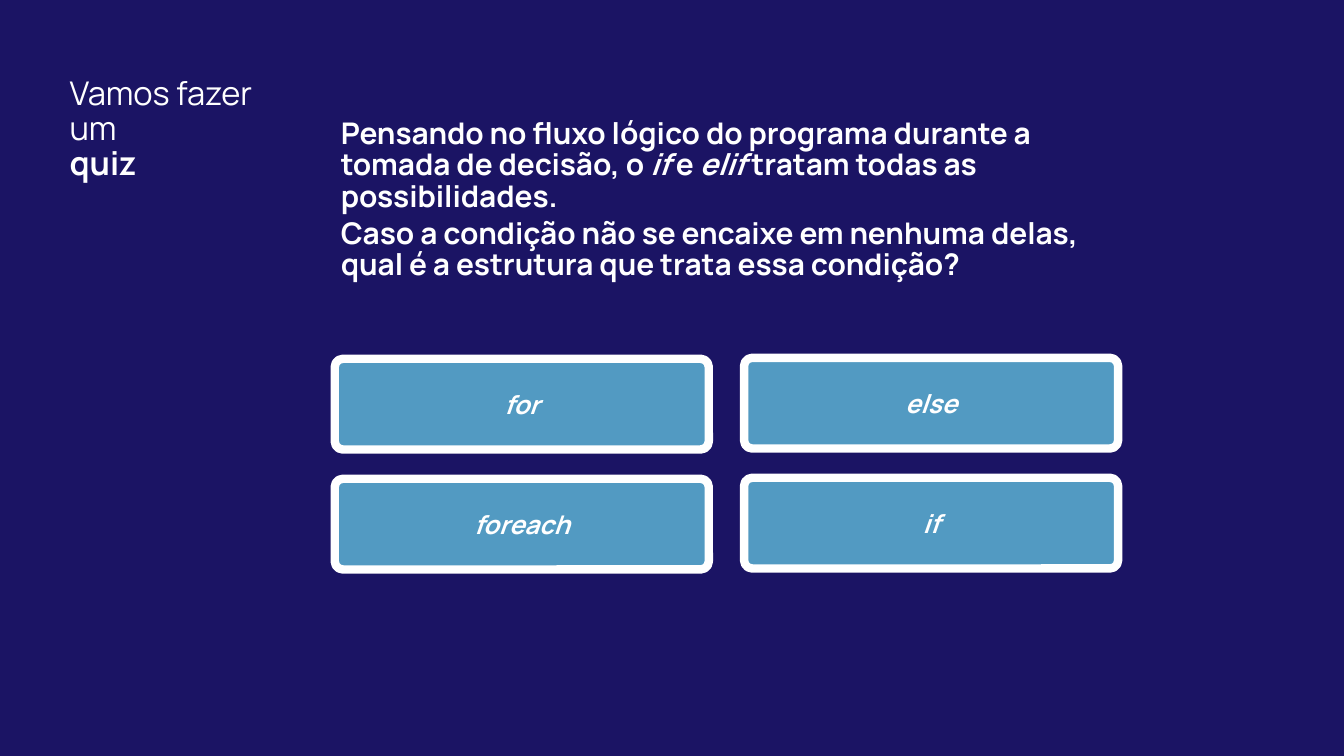
from dataclasses import dataclass

import pptx
import pptx.dml.color
import pptx.enum.shapes
import pptx.enum.text
import pptx.util
from pptx.util import Inches


@dataclass(frozen=True)
class Theme:
    background: str = "1B1464"
    answer_fill: str = "529AC2"
    white: str = "FFFFFF"
    font: str = "Manrope"
    title_size: float = 23.3
    question_size: float = 21.3
    answer_size: float = 18.4
    border: float = 6


THEME = Theme()

TITLE = [[("Vamos fazer um", {})], [("quiz", {"bold": True})]]
QUESTION = [
    [
        ("Pensando no fluxo lógico do programa durante a tomada de decisão, o ", {}),
        ("if", {"italic": True}),
        (" e ", {}),
        ("elif", {"italic": True}),
        (" tratam todas as possibilidades.", {}),
    ],
    [("Caso a condição não se encaixe em nenhuma delas, "
      "qual é a estrutura que trata essa condição?", {})],
]
# Each column: left, top of its first answer, answers from top to bottom
ANSWER_COLUMNS = [(3.32, 3.56, ["for", "foreach"]), (7.38, 3.55, ["else", "if"])]
ANSWER_WIDTH, ANSWER_HEIGHT, ANSWER_PITCH = 3.71, 0.9, 1.19
CORNER_RADIUS = 0.08


def rgb(value):
    return pptx.dml.color.RGBColor.from_string(value)


def write_text(frame, paragraphs, *, size, bold=False, italic=False, align="LEFT",
               anchor="TOP", margins=(0, 0), line_spacing=None, space_after=0):
    """Fill a frame with paragraphs, each a list of (text, style overrides)."""
    frame.word_wrap = True
    frame.vertical_anchor = pptx.enum.text.MSO_ANCHOR[anchor]
    frame.margin_left = frame.margin_right = Inches(margins[0])
    frame.margin_top = frame.margin_bottom = Inches(margins[1])
    for index, spans in enumerate(paragraphs):
        para = frame.add_paragraph() if index else frame.paragraphs[0]
        para.alignment = pptx.enum.text.PP_ALIGN[align]
        para.line_spacing = line_spacing
        para.space_after = pptx.util.Pt(space_after)
        for text, style in spans:
            span = para.add_run()
            span.text = text
            span.font.name = THEME.font
            span.font.size = pptx.util.Pt(size)
            span.font.color.rgb = rgb(THEME.white)
            span.font.bold = style.get("bold", bold)
            span.font.italic = style.get("italic", italic)


def add_text(page, left, top, width, height, paragraphs, **text_format):
    box = page.shapes.add_textbox(Inches(left), Inches(top), Inches(width), Inches(height))
    write_text(box.text_frame, paragraphs, **text_format)


def add_answer(page, left, top, answer):
    button = page.shapes.add_shape(
        pptx.enum.shapes.MSO_SHAPE.ROUNDED_RECTANGLE,
        Inches(left), Inches(top), Inches(ANSWER_WIDTH), Inches(ANSWER_HEIGHT))
    button.adjustments[0] = CORNER_RADIUS / ANSWER_HEIGHT
    button.shadow.inherit = False
    button.fill.solid()
    button.fill.fore_color.rgb = rgb(THEME.answer_fill)
    button.line.color.rgb = rgb(THEME.white)
    button.line.width = pptx.util.Pt(THEME.border)
    write_text(button.text_frame, [[(answer, {})]], size=THEME.answer_size,
               bold=True, italic=True, align="CENTER", anchor="MIDDLE")


def main():
    deck = pptx.Presentation()
    deck.slide_width, deck.slide_height = Inches(13.33), Inches(7.5)
    page = deck.slides.add_slide(deck.slide_layouts[6])
    page.background.fill.solid()
    page.background.fill.fore_color.rgb = rgb(THEME.background)

    add_text(page, 0.69, 0.77, 1.88, 1.18, TITLE,
             size=THEME.title_size, line_spacing=0.89)
    add_text(page, 3.31, 1.15, 7.78, 2.11, QUESTION, size=THEME.question_size,
             bold=True, margins=(0.07, 0.03), line_spacing=0.88, space_after=4)
    for left, top, answers in ANSWER_COLUMNS:
        for row, answer in enumerate(answers):
            add_answer(page, left, top + row * ANSWER_PITCH, answer)

    deck.save("out.pptx")


if __name__ == "__main__":
    main()
